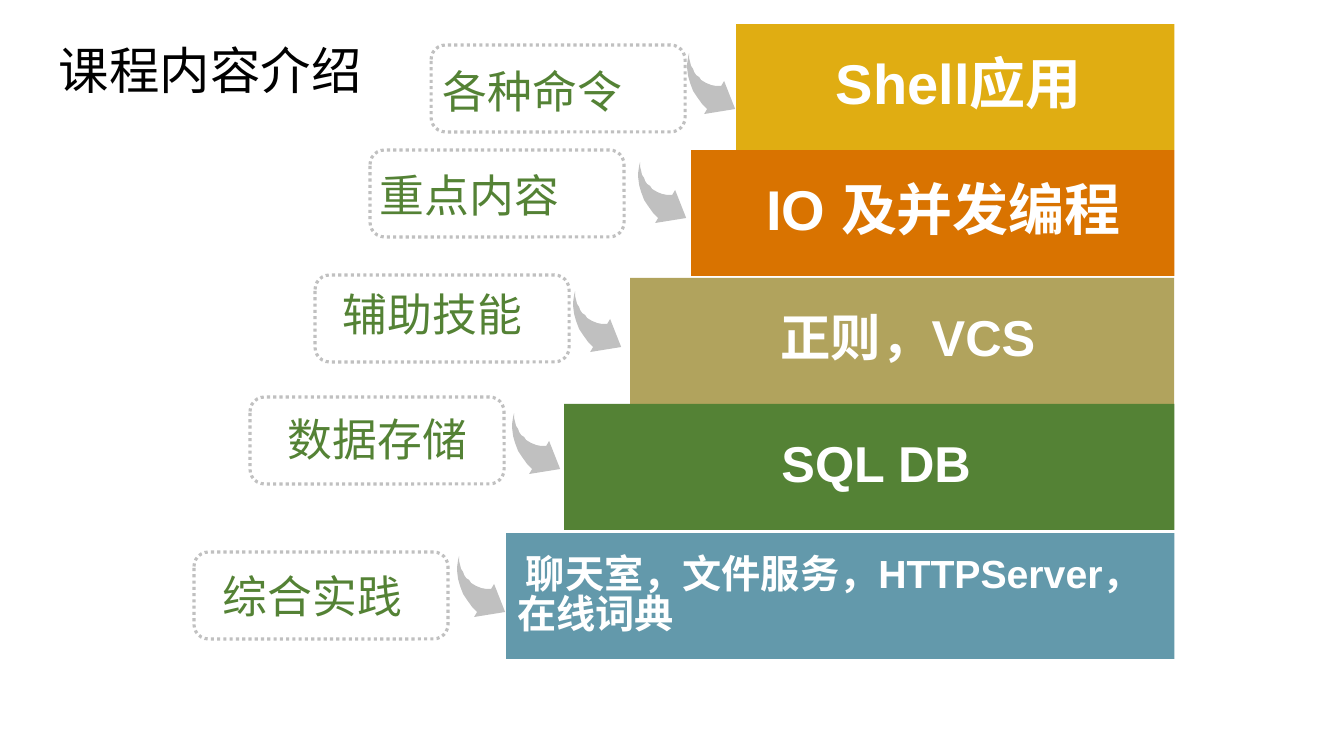
from dataclasses import dataclass
from pptx import Presentation
from pptx.dml.color import RGBColor as RGB
from pptx.enum.dml import MSO_LINE as Dash
from pptx.enum.shapes import MSO_SHAPE as Kind
from pptx.enum.text import MSO_ANCHOR as Anchor, PP_ALIGN as Align
from pptx.util import Inches, Pt

SCALE = Inches(1) / 100.8


@dataclass(frozen=True)
class Theme:
    gray: str = "C0C0C0"
    green: str = "548235"
    white: str = "FFFFFF"
    black: str = "000000"
    gold: str = "E0AD12"
    orange: str = "D97300"
    sand: str = "B1A35D"
    blue: str = "6399AB"
    head: int = 36
    label: int = 32
    big: int = 40
    mid: int = 36
    small: int = 28
    head_font: str = "Calibri"
    label_font: str = "DejaVu Sans Mono"
    bar_font: str = "Arial"


THEME = Theme()
RIGHT = 1174
BAR_H = 126
PILL = (254, 87)
INSET = 5
CURVE = [
    (20, 56), (17, 61), (48, 56), (37, 28), (34, 33), (29, 33), (24, 32),
    (19, 30), (14, 27), (12, 24), (9, 22), (7, 19), (6, 16), (4, 13),
    (3, 9), (2, 5), (2, 0), (1, 4), (0, 11), (0, 15), (1, 23), (3, 30),
    (6, 38), (10, 44), (15, 51),
]
STEPS = [
    ((736, 24), THEME.gold, [(" ", 18), ("Shell应用", THEME.big)],
     (431, 45), "各种命令", (433, 59), (687, 53)),
    ((691, 150), THEME.orange, [(" ", 16), (" IO 及并发编程", THEME.big)],
     (370, 150), "重点内容", (370, 163), (638, 162)),
    ((630, 278), THEME.sand, [(" 正则，VCS", THEME.mid)],
     (315, 275), "辅助技能", (333, 282), (573, 291)),
    ((564, 404), THEME.green, [(" SQL DB", THEME.mid)],
     (250, 397), "数据存储", (278, 407), (512, 413)),
    ((506, 533), THEME.blue, [(" 聊天室，文件服务，HTTPServer，在线词典", THEME.small)],
     (194, 552), "综合实践", (213, 564), (457, 556)),
]


def emu(*vals):
    return [round(v * SCALE) for v in vals]


def paint(shape, color):
    shape.shadow.inherit = False
    shape.fill.solid()
    shape.fill.fore_color.rgb = RGB.from_string(color)
    shape.line.fill.background()


def style(run, font, size, color, bold=False):
    run.font.name = font
    run.font.size = Pt(size)
    run.font.bold = bold
    run.font.color.rgb = RGB.from_string(color)


def add_bar(slide, spot, color, parts, align, left):
    x, y = spot
    bar = slide.shapes.add_shape(Kind.RECTANGLE, *emu(x, y, RIGHT - x, BAR_H))
    paint(bar, color)
    frame = bar.text_frame
    frame.word_wrap = True
    frame.vertical_anchor = Anchor.MIDDLE
    frame.margin_left, frame.margin_right = emu(left, INSET)
    frame.margin_top, frame.margin_bottom = emu(INSET, INSET)
    para = frame.paragraphs[0]
    para.alignment = align
    para.line_spacing = 0.85
    for text, size in parts:
        run = para.add_run()
        run.text = text
        style(run, THEME.bar_font, size, THEME.white, True)


def add_pill(slide, spot):
    pill = slide.shapes.add_shape(Kind.ROUNDED_RECTANGLE, *emu(*spot, *PILL))
    pill.shadow.inherit = False
    pill.fill.background()
    pill.line.color.rgb = RGB.from_string(THEME.gray)
    pill.line.width = Pt(2.25)
    pill.line.dash_style = Dash.ROUND_DOT


def add_text(slide, box, text, font, size, color, wrap=True):
    frame = slide.shapes.add_textbox(*emu(*box)).text_frame
    frame.word_wrap = wrap
    frame.text = text
    style(frame.paragraphs[0].runs[0], font, size, color)


def add_arrow(slide, spot):
    pen = slide.shapes.build_freeform(*CURVE[0], scale=SCALE)
    pen.add_line_segments(CURVE[1:], close=True)
    paint(pen.convert_to_shape(*emu(*spot)), THEME.gray)


def main():
    deck = Presentation()
    deck.slide_width, deck.slide_height = Inches(13.33), Inches(7.5)
    slide = deck.slides.add_slide(deck.slide_layouts[6])
    add_text(slide, (49, 34, 326, 71), "课程内容介绍",
             THEME.head_font, THEME.head, THEME.black, False)
    for bar, color, parts, pill, label, spot, arrow in STEPS:
        last = color == THEME.blue
        add_bar(slide, bar, color, parts,
                Align.LEFT if last else Align.CENTER, 11 if last else INSET)
        add_pill(slide, pill)
        add_text(slide, (*spot, 250, 64), label,
                 THEME.label_font, THEME.label, THEME.green)
        add_arrow(slide, arrow)
    deck.save("out.pptx")


main()
